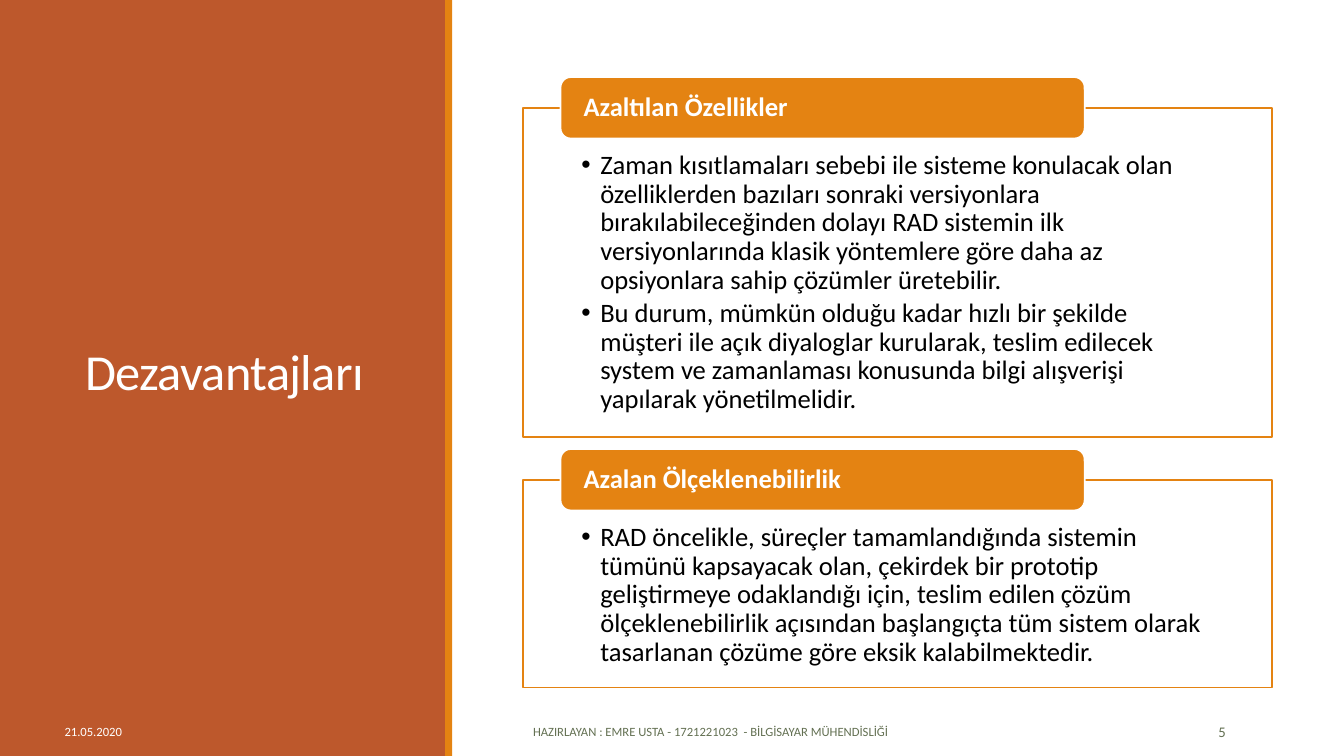
from lxml import etree
from pptx import Presentation
from pptx.dml.color import RGBColor
from pptx.enum.shapes import MSO_SHAPE
from pptx.enum.text import MSO_ANCHOR, MSO_AUTO_SIZE, PP_ALIGN
from pptx.oxml.ns import qn
from pptx.util import Pt

RECT, ROUND = MSO_SHAPE.RECTANGLE, MSO_SHAPE.ROUNDED_RECTANGLE
TOP, MIDDLE = MSO_ANCHOR.TOP, MSO_ANCHOR.MIDDLE
LEFT, CENTER, RIGHT = PP_ALIGN.LEFT, PP_ALIGN.CENTER, PP_ALIGN.RIGHT
FIT_NONE = MSO_AUTO_SIZE.NONE

RUST = RGBColor(0xBD, 0x58, 0x2C)
ORANGE = RGBColor(0xE4, 0x83, 0x12)
OLIVE = RGBColor(0x63, 0x70, 0x52)
WHITE = RGBColor(0xFF, 0xFF, 0xFF)
BLACK = RGBColor(0, 0, 0)

PANELS = [
    (77.04, 235.4, "Azaltılan Özellikler", [
        "Zaman kısıtlamaları sebebi ile sisteme konulacak olan özelliklerden "
        "bazıları sonraki versiyonlara bırakılabileceğinden dolayı RAD sistemin "
        "ilk versiyonlarında klasik yöntemlere göre daha az opsiyonlara sahip "
        "çözümler üretebilir.",
        "Bu durum, mümkün olduğu kadar hızlı bir şekilde müşteri ile açık "
        "diyaloglar kurularak, teslim edilecek system ve zamanlaması konusunda "
        "bilgi alışverişi yapılarak yönetilmelidir."]),
    (342.7, 148.3, "Azalan Ölçeklenebilirlik", [
        "RAD öncelikle, süreçler tamamlandığında sistemin tümünü kapsayacak "
        "olan, çekirdek bir prototip geliştirmeye odaklandığı için, teslim "
        "edilen çözüm ölçeklenebilirlik açısından başlangıçta tüm sistem olarak "
        "tasarlanan çözüme göre eksik kalabilmektedir."]),
]


class Deck:
    """Holds the text style and the current slide."""

    def __init__(self, slide, font):
        self.slide = slide
        self.font = font

    def place(self, shape, box):
        shape.left, shape.top, shape.width, shape.height = map(Pt, box)
        # Bring a placeholder in front of the shapes drawn so far
        self.slide.shapes._spTree.append(shape._element)

    def set_text(self, shape, lines, size, color, align=LEFT, anchor=MIDDLE,
                 inset=(7.2, 3.6, 7.2, 3.6), space=1, after=0, bold=False):
        frame = shape.text_frame
        frame.text = "\n".join(lines)
        frame.word_wrap = True
        frame.auto_size = FIT_NONE
        frame.vertical_anchor = anchor
        (frame.margin_left, frame.margin_top,
         frame.margin_right, frame.margin_bottom) = map(Pt, inset)
        for para in frame.paragraphs:
            para.alignment = align
            para.line_spacing = space
            para.space_before = Pt(0)
            para.space_after = Pt(after)
            for run in para.runs:
                run.font.name = self.font
                run.font.size = Pt(size)
                run.font.bold = bold
                run.font.color.rgb = color

    def block(self, kind, box, fill, line=None):
        shape = self.slide.shapes.add_shape(kind, *map(Pt, box))
        shape.shadow.inherit = False
        shape.fill.solid()
        shape.fill.fore_color.rgb = fill
        if line is None:
            shape.line.fill.background()
        else:
            shape.line.color.rgb = line
            shape.line.width = Pt(1.25)
        return shape

    def label(self, box, text, size, color, align=LEFT):
        shape = self.slide.shapes.add_textbox(*map(Pt, box))
        self.set_text(shape, [text], size, color, align)

    def title(self, box, text):
        shape = self.slide.shapes.title
        self.place(shape, box)
        self.set_text(shape, [text], 36, WHITE, CENTER, space=0.85)
        for run in shape.text_frame.paragraphs[0].runs:
            run._r.get_or_add_rPr().set("spc", "-50")

    def panel(self, shape, box, lines):
        self.place(shape, box)
        shape.fill.solid()
        shape.fill.fore_color.rgb = WHITE
        tint = shape._element.spPr.find(".//" + qn("a:srgbClr"))
        etree.SubElement(tint, qn("a:alpha")).set("val", "90000")
        shape.line.color.rgb = ORANGE
        shape.line.width = Pt(1.25)
        self.set_text(shape, lines, 19, BLACK, anchor=TOP, space=0.9, after=3,
                      inset=(41.6, 31.2, 41.6, 10.8))
        for para in shape.text_frame.paragraphs:
            props = para._p.get_or_add_pPr()
            props.set("marL", str(Pt(13.5)))
            props.set("indent", str(-Pt(13.5)))
            etree.SubElement(props, qn("a:buChar")).set("char", "•")

    def tab(self, box, text):
        shape = self.block(ROUND, box, ORANGE, WHITE)
        self.set_text(shape, [text], 19, WHITE, space=0.9, bold=True,
                      inset=(14.4, 0, 14.4, 0))


def main():
    prs = Presentation()
    prs.slide_width, prs.slide_height = Pt(960), Pt(540)
    slide = prs.slides.add_slide(prs.slide_layouts[3])
    deck = Deck(slide, "Calibri")

    # Side band and title
    deck.block(RECT, (0, 0, 319, 540), RUST)
    deck.block(RECT, (318, 0, 5, 540), ORANGE)
    deck.title((39, 41, 242.6, 454.3), "Dezavantajları")

    # Footer
    deck.label((39, 508.3, 137, 29), "21.05.2020", 9, WHITE)
    deck.label((373.7, 508.3, 402, 29),
               "HAZIRLAYAN : EMRE USTA - 1721221023  - BİLGİSAYAR MÜHENDİSLİĞİ",
               9, OLIVE)
    deck.label((797, 508.3, 85.7, 29), "5", 10.5, OLIVE, RIGHT)

    # Panels, each with a tab across its top edge
    for slot, (top, high, head, lines) in enumerate(PANELS, 1):
        deck.panel(slide.placeholders[slot], (373.7, top, 535, high), lines)
        deck.tab((400.4, top - 22, 374.4, 43.9), head)

    prs.save("out.pptx")


if __name__ == "__main__":
    main()
